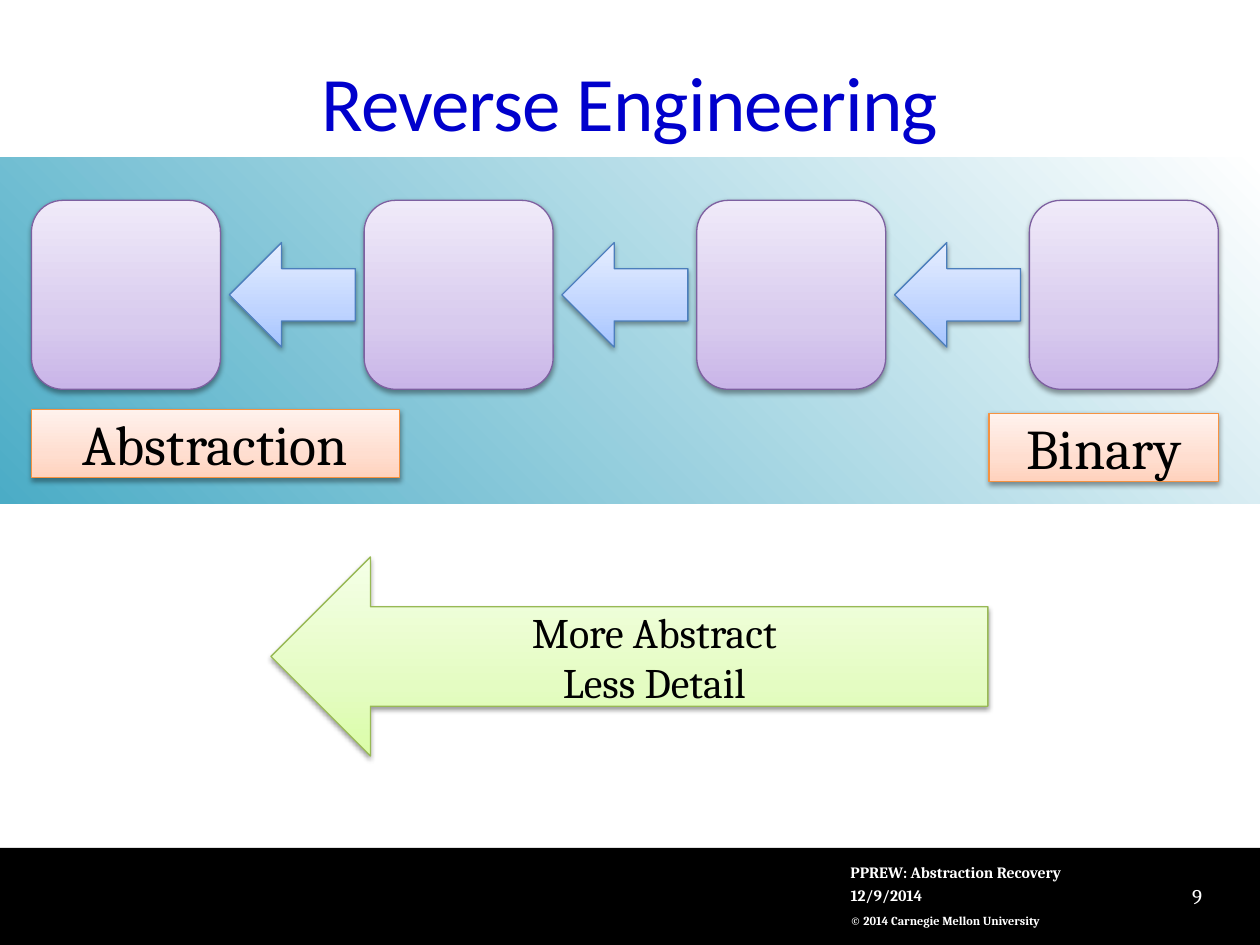
import pptx
import pptx.util
import pptx.oxml
import pptx.oxml.ns
import pptx.dml.color
import pptx.enum.shapes
import pptx.enum.text

SHAPE = pptx.enum.shapes.MSO_SHAPE
ANCHOR = pptx.enum.text.MSO_ANCHOR
ALIGN = pptx.enum.text.PP_ALIGN
NS = pptx.oxml.ns.nsdecls("a")

THEME = {
    "heading": "Calibri", "body": "Cambria",
    "title": "0000CC", "ink": "000000", "light": "FFFFFF",
    "size": {"title": 44, "label": 32, "arrow": 24, "page": 12, "footer": 9, "rights": 7},
    "band": ([(0, "FFFFFF"), (100, "4BACC6")], 135, None),
    "purple": ([(0, "C9B5E8"), (35, "D8CBEE"), (100, "F0EAF9")], 270, "7D60A0"),
    "blue": ([(0, "A4C4FF"), (35, "BFD4FF"), (100, "E6EEFF")], 270, "4B7EBC"),
    "orange": ([(0, "FFD2BD"), (35, "FFDED0"), (100, "FFF2ED")], 270, "F69240"),
    "green": ([(0, "DAFDA7"), (35, "E4FCC2"), (100, "F5FFE7")], 270, "98B955"),
}

COLS, ROWS = 100, 75
TITLE = ("Reverse Engineering", (5, 1.7, 90, 12.5))
LABELS = [("Abstraction", (2.5, 32.5, 29.2, 5.4)), ("Binary", (78.5, 32.8, 18.2, 5.4))]
SUMMARY = (["More Abstract", "Less Detail"], (21.5, 44.2, 56.9, 15.8))
FOOTER = [("12/9/2014", (67.5, 69.8, 30.8, 2.5)),
          ("PPREW: Abstraction Recovery", (67.5, 68, 19.6, 2.5))]
RIGHTS = ("© 2014 Carnegie Mellon University", (67.5, 71.5, 25, 2.6))
PAGE = ("9", (90.8, 69.1, 5.6, 4))
STAGES, BOX, STEP, LEFT, TOP = 4, 15, 26.4, 2.5, 15.9
ARROW_W, ARROW_H = 10, 8.3

prs = pptx.Presentation()
prs.slide_width, prs.slide_height = pptx.util.Inches(10), pptx.util.Inches(7.5)
s = prs.slides.add_slide(prs.slide_layouts[6])


def place(at):
    cell_w, cell_h = prs.slide_width / COLS, prs.slide_height / ROWS
    return [round(v * c) for v, c in zip(at, (cell_w, cell_h) * 2)]


def rgb(color):
    return pptx.dml.color.RGBColor.from_string(color)


def add_shape(kind, at, look):
    sp = s.shapes.add_shape(kind, *place(at))
    sp.shadow.inherit = False
    stops, angle, line = THEME[look]
    gs = "".join(f'<a:gs pos="{p * 1000}"><a:srgbClr val="{c}"/></a:gs>' for p, c in stops)
    grad = pptx.oxml.parse_xml(
        f'<a:gradFill {NS} rotWithShape="1"><a:gsLst>{gs}</a:gsLst>'
        f'<a:lin ang="{angle * 60000}" scaled="0"/></a:gradFill>')
    sp_pr = sp._element.spPr
    sp_pr.find(pptx.oxml.ns.qn("a:prstGeom")).addnext(grad)
    if line is None:
        sp.line.fill.background()
        return sp
    sp.line.color.rgb = rgb(line)
    sp.line.width = pptx.util.Pt(0.75)
    sp_pr.find(pptx.oxml.ns.qn("a:effectLst")).append(pptx.oxml.parse_xml(
        f'<a:outerShdw {NS} blurRad="39400" dist="20300" dir="5400000" rotWithShape="0">'
        '<a:srgbClr val="000000"><a:alpha val="38000"/></a:srgbClr></a:outerShdw>'))
    return sp


def add_text(text, at=None, sp=None, size="footer", font="body", color="light", bold=False,
             align=ALIGN.LEFT, anchor=ANCHOR.MIDDLE, insets=(0, 0.05, 0.1, 0.05),
             spacing=None, tracking=None):
    sp = sp or s.shapes.add_textbox(*place(at))
    tf = sp.text_frame
    tf.word_wrap, tf.vertical_anchor = True, anchor
    tf.margin_left, tf.margin_top, tf.margin_right, tf.margin_bottom = map(
        pptx.util.Inches, insets)
    for i, line in enumerate([text] if isinstance(text, str) else text):
        p = tf.add_paragraph() if i else tf.paragraphs[0]
        p.alignment = align
        if spacing:
            p.line_spacing = spacing
        r = p.add_run()
        r.text = line
        r.font.name, r.font.bold = THEME[font], bold
        r.font.size = pptx.util.Pt(THEME["size"][size])
        r.font.color.rgb = rgb(THEME[color])
        if tracking:
            r._r.get_or_add_rPr().set("spc", str(round(tracking * 100)))


bar = s.shapes.add_shape(SHAPE.RECTANGLE, *place((0, 67.3, COLS, 7.7)))
bar.shadow.inherit = False
bar.fill.solid()
bar.fill.fore_color.rgb = rgb(THEME["ink"])
bar.line.fill.background()
add_text(*RIGHTS, size="rights", bold=True, insets=(0, 0.05, 0.05, 0.05), spacing=1.5)

add_shape(SHAPE.RECTANGLE, (0, 12.5, COLS, 27.5), "band")
add_text(*TITLE, size="title", font="heading", color="title", align=ALIGN.CENTER,
         insets=(0, 0.05, 0, 0.05), tracking=-0.5)
for text, at in FOOTER:
    add_text(text, at, bold=True, anchor=ANCHOR.BOTTOM)
add_text(*PAGE, size="page", align=ALIGN.RIGHT, insets=(0.1, 0.05, 0.1, 0.05))

gap = (STEP - BOX - ARROW_W) / 2
for i in range(STAGES):
    x = LEFT + i * STEP
    add_shape(SHAPE.ROUNDED_RECTANGLE, (x, TOP, BOX, BOX), "purple")
    if i < STAGES - 1:
        add_shape(SHAPE.LEFT_ARROW,
                  (x + BOX + gap, TOP + (BOX - ARROW_H) / 2, ARROW_W, ARROW_H), "blue")

for text, at in LABELS:
    add_text(text, sp=add_shape(SHAPE.RECTANGLE, at, "orange"), size="label", color="ink",
             align=ALIGN.CENTER, anchor=ANCHOR.TOP, insets=(0, 0, 0, 0))
lines, at = SUMMARY
add_text(lines, sp=add_shape(SHAPE.LEFT_ARROW, at, "green"), size="arrow", color="ink",
         align=ALIGN.CENTER, insets=(0, 0, 0, 0))

prs.save("out.pptx")
